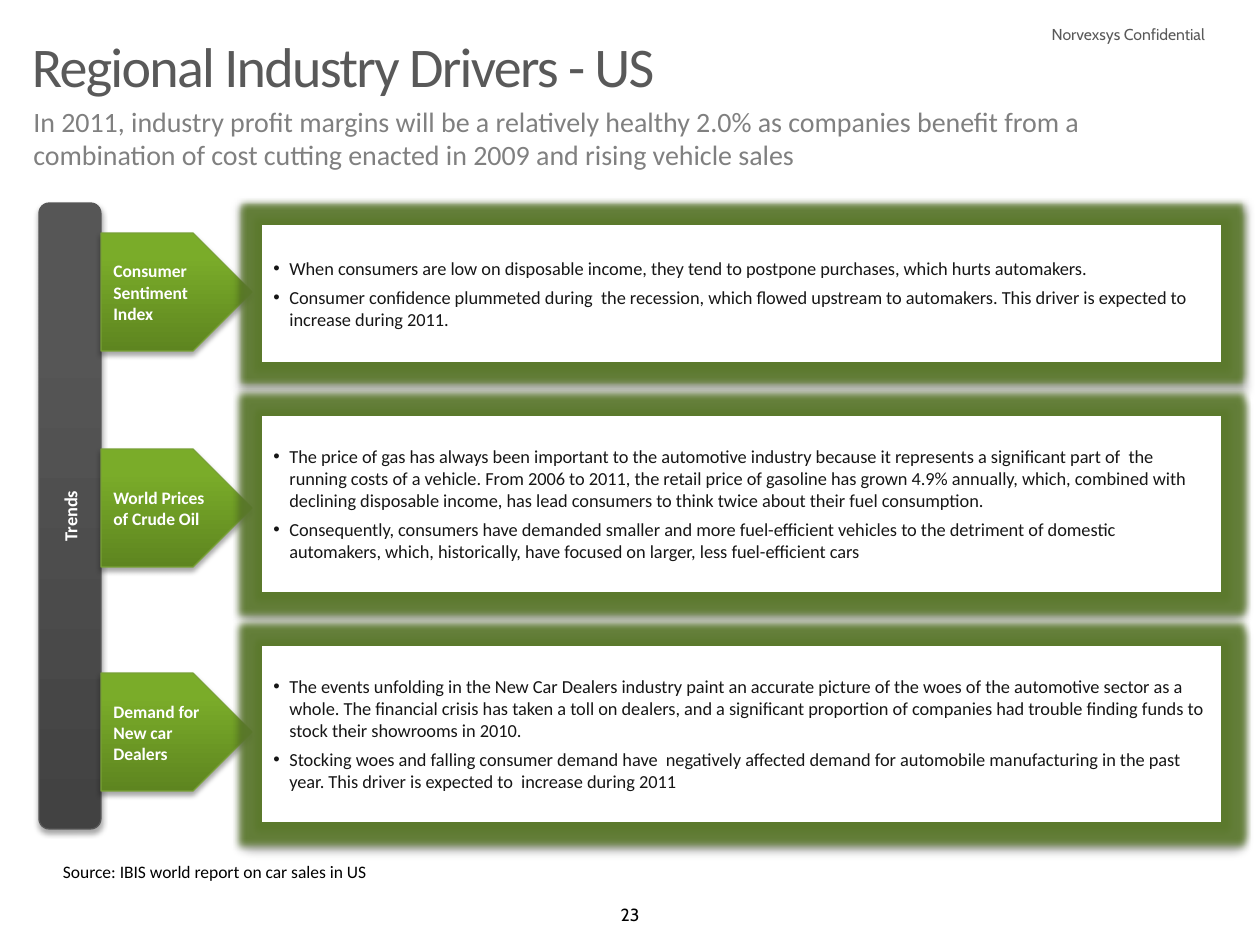
from copy import deepcopy

from lxml import etree
from pptx import Presentation
from pptx.dml.color import RGBColor
from pptx.enum.shapes import MSO_SHAPE
from pptx.enum.text import MSO_ANCHOR, PP_ALIGN
from pptx.oxml.ns import qn
from pptx.util import Emu, Inches, Pt

ROUND_RECT = MSO_SHAPE.ROUNDED_RECTANGLE
PENTAGON = MSO_SHAPE.PENTAGON
RECT = MSO_SHAPE.RECTANGLE
TOP, MIDDLE, BOTTOM = MSO_ANCHOR.TOP, MSO_ANCHOR.MIDDLE, MSO_ANCHOR.BOTTOM
LEFT, CENTER, RIGHT = PP_ALIGN.LEFT, PP_ALIGN.CENTER, PP_ALIGN.RIGHT

EMU_PER_PX = 914400 / 126

BLACK = RGBColor(0x00, 0x00, 0x00)
WHITE = RGBColor(0xFF, 0xFF, 0xFF)
BODY = RGBColor(0x16, 0x16, 0x16)
DARK_GRAY = RGBColor(0x59, 0x59, 0x59)
MID_GRAY = RGBColor(0x80, 0x80, 0x80)
BAR_LINE = RGBColor(0x57, 0x57, 0x57)
ARROW_LINE = RGBColor(0x78, 0xA1, 0x36)
BOX_LINE = RGBColor(0x5B, 0x79, 0x2C)
BAR_STOPS = [(0, RGBColor(0x42, 0x42, 0x42)), (0.8, RGBColor(0x56, 0x56, 0x56)), (1, BAR_LINE)]
ARROW_STOPS = [(0, RGBColor(0x5E, 0x85, 0x20)), (0.8, RGBColor(0x7A, 0xAC, 0x29)),
               (1, RGBColor(0x7B, 0xAF, 0x27))]

DRIVERS = [
    ("Consumer Sentiment Index", 233, 224, 139, [
        "When consumers are low on disposable income, they tend to postpone purchases, which hurts automakers.",
        "Consumer confidence plummeted during  the recession, which flowed upstream to automakers. "
        "This driver is expected to increase during 2011.",
    ]),
    ("World Prices of Crude Oil", 449, 415, 178, [
        "The price of gas has always been important to the automotive industry because it represents a "
        "significant part of  the running costs of a vehicle. From 2006 to 2011, the retail price of "
        "gasoline has grown 4.9% annually, which, combined with declining disposable income, has lead "
        "consumers to think twice about their fuel consumption.",
        "Consequently, consumers have demanded smaller and more fuel-efficient vehicles to the detriment "
        "of domestic automakers, which, historically, have focused on larger, less fuel-efficient cars",
    ]),
    ("Demand for New car Dealers", 673, 645, 178, [
        "The events unfolding in the New Car Dealers industry paint an accurate picture of the woes of "
        "the automotive sector as a whole. The financial crisis has taken a toll on dealers, and a "
        "significant proportion of companies had trouble finding funds to stock their showrooms in 2010.",
        "Stocking woes and falling consumer demand have  negatively affected demand for automobile "
        "manufacturing in the past year. This driver is expected to  increase during 2011",
    ]),
]


def px(length):
    return Emu(round(length * EMU_PER_PX))


def add_bullet(paragraph):
    properties = paragraph._p.get_or_add_pPr()
    properties.set("marL", str(px(16)))
    properties.set("indent", str(-px(16)))
    etree.SubElement(properties, qn("a:buFont")).set("typeface", "Arial")
    etree.SubElement(properties, qn("a:buChar")).set("char", "•")


def write_text(frame, *texts, size, color, font="Calibri", bold=False, align=LEFT,
               anchor=TOP, bullets=False, line_spacing=None, tracking=None, margin=None):
    frame.word_wrap = True
    frame.vertical_anchor = anchor
    if margin is not None:
        frame.margin_left = frame.margin_right = px(margin)
        frame.margin_top = frame.margin_bottom = px(margin)
    for index, text in enumerate(texts):
        paragraph = frame.add_paragraph() if index else frame.paragraphs[0]
        if bullets:
            add_bullet(paragraph)
            paragraph.space_before = Pt(3 if index else 0)
            paragraph.space_after = Pt(1)
        paragraph.alignment = align
        if line_spacing:
            paragraph.line_spacing = line_spacing
        run = paragraph.add_run()
        run.text = text
        run.font.name = font
        run.font.size = Pt(size)
        run.font.bold = bold
        run.font.color.rgb = color
        if tracking:
            run.font._element.set("spc", str(tracking * 100))


def add_label(slide, text, left, top, width, height, **style):
    box = slide.shapes.add_textbox(px(left), px(top), px(width), px(height))
    write_text(box.text_frame, text, **style)


def add_effect_color(effect, color, alpha):
    rgb = etree.SubElement(effect, qn("a:srgbClr"))
    rgb.set("val", str(color))
    etree.SubElement(rgb, qn("a:alpha")).set("val", str(alpha * 1000))


def add_effects(shape, glow):
    shape.shadow.inherit = False
    effects = shape._element.spPr.find(qn("a:effectLst"))
    if glow:
        halo = etree.SubElement(effects, qn("a:glow"))
        halo.set("rad", str(Pt(8)))
        add_effect_color(halo, glow, 90)
    shadow = etree.SubElement(effects, qn("a:outerShdw"))
    shadow.set("blurRad", str(Pt(3.1)))
    shadow.set("dist", str(Pt(1.8)))
    shadow.set("dir", "5400000")
    shadow.set("rotWithShape", "0")
    add_effect_color(shadow, BLACK, 35)


def fill_gradient(fill, shape, stops):
    fill.gradient()
    fill.gradient_angle = 90
    stop_list = shape._element.spPr.find(qn("a:gradFill")).find(qn("a:gsLst"))
    stop_list.insert(1, deepcopy(stop_list[0]))
    for stop, (position, color) in zip(fill.gradient_stops, stops):
        stop.position = position
        stop.color.rgb = color


def add_panel(slide, kind, left, top, width, height, line, stops=None, glow=None):
    panel = slide.shapes.add_shape(kind, px(left), px(top), px(width), px(height))
    if stops:
        fill_gradient(panel.fill, panel, stops)
    else:
        panel.fill.solid()
        panel.fill.fore_color.rgb = WHITE
    panel.line.color.rgb = line
    panel.line.width = Pt(0.75)
    add_effects(panel, glow)
    return panel.text_frame


def add_trends_bar(slide):
    frame = add_panel(slide, ROUND_RECT, 39, 203, 62, 626, BAR_LINE, BAR_STOPS)
    frame._txBody.bodyPr.set("vert", "vert270")
    write_text(frame, "Trends", size=10.5, color=WHITE, bold=True, align=CENTER, anchor=MIDDLE)


def add_driver(slide, name, arrow_top, box_top, box_height, points):
    arrow = add_panel(slide, PENTAGON, 101, arrow_top, 151, 118, ARROW_LINE, ARROW_STOPS)
    write_text(arrow, name, size=10, color=WHITE, bold=True, anchor=MIDDLE)
    box = add_panel(slide, RECT, 261, box_top, 961, box_height, BOX_LINE, glow=BOX_LINE)
    write_text(box, *points, size=10.5, color=BODY, anchor=MIDDLE, bullets=True)


def main():
    deck = Presentation()
    deck.slide_width, deck.slide_height = Inches(10), Inches(7.5)
    slide = deck.slides.add_slide(deck.slide_layouts[6])
    add_label(slide, "23", 598, 898, 64, 34, size=10, color=BLACK, font="Cabin", align=CENTER)
    add_label(slide, "Norvexsys Confidential", 1010, 19, 207, 32, size=9, color=DARK_GRAY,
              font="Cabin", align=RIGHT)
    add_label(slide, "Regional Industry Drivers - US", 32, 39, 1197, 42, size=32,
              color=DARK_GRAY, line_spacing=0.9, tracking=-1, margin=0)
    add_label(slide, "In 2011, industry profit margins will be a relatively healthy 2.0% as companies "
              "benefit from a combination of cost cutting enacted in 2009 and rising vehicle sales",
              21, 98, 1197, 81, size=16, color=MID_GRAY)
    add_trends_bar(slide)
    for driver in DRIVERS:
        add_driver(slide, *driver)
    add_label(slide, "Source: IBIS world report on car sales in US", 63, 863, 804, 19, size=10,
              color=BLACK, anchor=BOTTOM, line_spacing=0.9, margin=0)
    deck.save("out.pptx")


if __name__ == "__main__":
    main()
